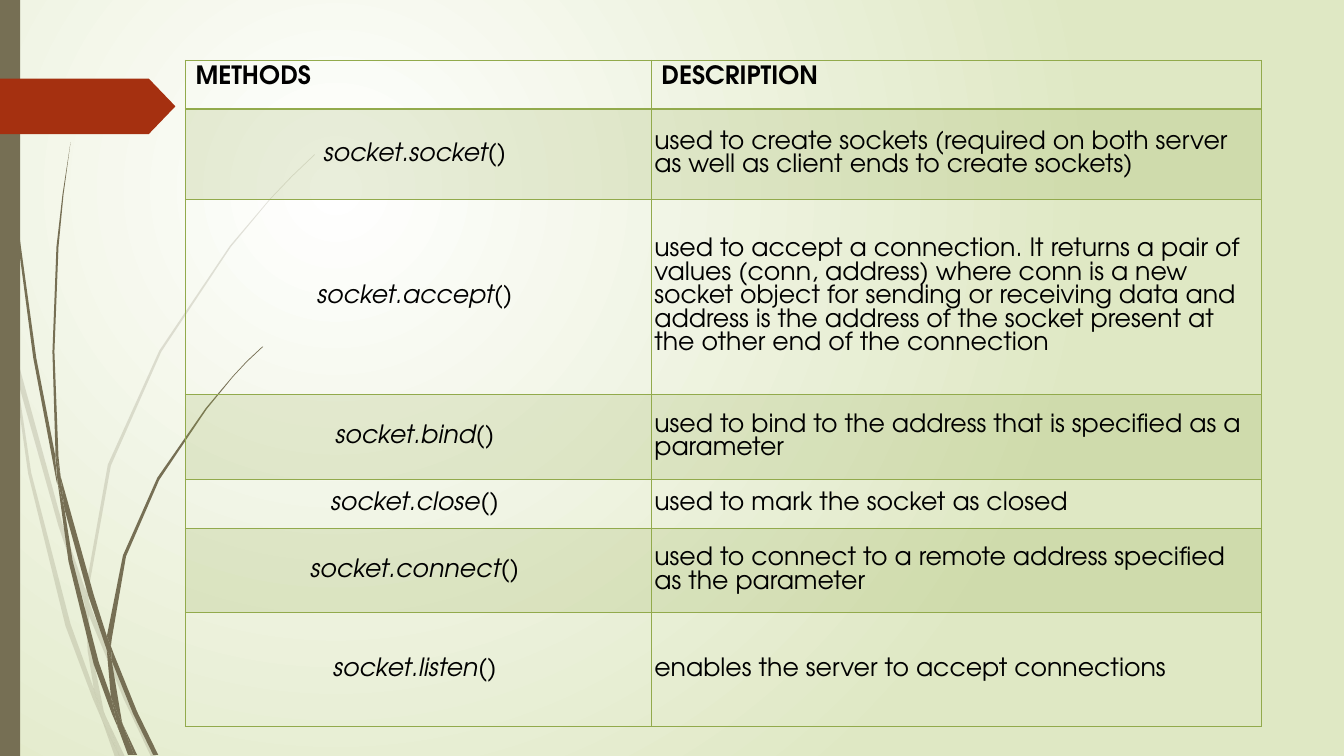
from dataclasses import dataclass

from lxml import etree
from pptx import Presentation
from pptx.dml.color import RGBColor
from pptx.enum.shapes import MSO_SHAPE
from pptx.enum.text import MSO_ANCHOR, PP_ALIGN
from pptx.oxml import parse_xml
from pptx.oxml.ns import nsdecls, qn
from pptx.util import Inches, Pt

RECT, PENTAGON = MSO_SHAPE.RECTANGLE, MSO_SHAPE.PENTAGON
CENTER, LEFT = PP_ALIGN.CENTER, PP_ALIGN.LEFT
MIDDLE, TOP = MSO_ANCHOR.MIDDLE, MSO_ANCHOR.TOP


@dataclass(frozen=True)
class Theme:
    font: str = "TeX Gyre Adventor"
    size: int = 18
    text: str = "000000"
    bg_inner: str = "FFFFFF"
    bg_outer: str = "DFE8C4"
    grass: str = "766F54"
    tab: str = "A53010"
    green: str = "92AA4C"
    tint: int = 20


T = Theme()

COLS = [4.62, 6.05]
ROW_HEIGHTS = [0.48, 0.9, 1.93, 0.85, 0.48, 0.84, 1.13]
ROWS = [
    ("METHODS", "DESCRIPTION"),
    ("socket.socket()", "used to create sockets (required on both server as well as "
     "client ends to create sockets)"),
    ("socket.accept()", "used to accept a connection. It returns a pair of values (conn, "
     "address) where conn is a new socket object for sending or receiving data and address "
     "is the address of the socket present at the other end of the connection"),
    ("socket.bind()", "used to bind to the address that is specified as a parameter"),
    ("socket.close()", "used to mark the socket as closed"),
    ("socket.connect()", "used to connect to a remote address specified as the parameter"),
    ("socket.listen()", "enables the server to accept connections"),
]

# Outlines of the grass: long blades, and the short pieces where they cross
PALE_GRASS = [
    [(.11, 3.5), (.09, 3.22), (0, 2.82), (0, 2.99), (.1, 3.44)],
    [(.58, 5.22), (.84, 5.99), (.85, 5.86), (.62, 5.2), (.14, 3.45), (.17, 3.76)],
    [(.92, 6.07), (.88, 5.96), (.88, 6.1), (1.23, 6.94), (1.5, 7.51), (1.55, 7.51),
     (1.27, 6.92)],
    [(1.19, 7.51), (1.24, 7.51), (1.05, 7.11)],
    [(.93, 6.83), (.7, 6.19), (.31, 4.69), (.17, 3.76), (.11, 3.5), (.28, 4.7), (.65, 6.21),
     (.92, 6.93), (1.01, 7.14), (.99, 7.07)],
    [(.84, 5.99), (.87, 6.46), (.93, 6.83), (.96, 6.92), (1.05, 7.11), (1.03, 7.06),
     (.91, 6.46), (.88, 6.1), (.88, 6.08)],
    [(.88, 5.84), (1.1, 4.62), (1.6, 3.49), (2.29, 2.45), (2.68, 1.98), (2.9, 1.75),
     (3.12, 1.54), (3.12, 1.53), (2.89, 1.75), (2.68, 1.97), (2.28, 2.44), (1.58, 3.48),
     (1.07, 4.61), (.85, 5.84), (.85, 5.86), (.88, 5.96)],
    [(1.01, 7.14), (1.14, 7.51), (1.19, 7.51)],
    [(.88, 6.08), (.88, 6.1), (.88, 5.96), (.85, 5.86), (.84, 5.99)],
    [(.96, 6.92), (.93, 6.83), (.99, 7.07), (1.01, 7.14), (1.19, 7.51), (1.05, 7.11)],
]
DARK_GRASS = [
    [(.07, 1.1), (.17, 2.33), (.33, 3.55), (.56, 4.77), (.57, 4.81), (.55, 4.57), (.55, 4.53),
     (.36, 3.55), (.19, 2.32), (.08, 1.09), (.05, .48), (.04, 0), (.03, 0), (.04, .48)],
    [(.88, 5.92), (1.06, 6.45), (1.06, 6.33), (1.06, 6.31), (.93, 5.9), (.6, 4.72),
     (.64, 5.05)],
    [(1.13, 6.49), (1.1, 6.41), (1.11, 6.56), (1.32, 7.08), (1.52, 7.49), (1.57, 7.49),
     (1.36, 7.06)],
    [(1.1, 6.91), (.98, 6.57), (.72, 5.56), (.64, 5.05), (.57, 4.77), (.68, 5.57),
     (.93, 6.59), (1.11, 7.08), (1.17, 7.22), (1.16, 7.17)],
    [(.6, 4.72), (.58, 4.53), (.54, 3.49), (.58, 2.45), (.63, 1.93), (.7, 1.41), (.62, 1.93),
     (.56, 2.45), (.52, 3.49), (.55, 4.49)],
    [(1.33, 7.49), (1.36, 7.49), (1.22, 7.19)],
    [(.57, 4.77), (.64, 5.05), (.6, 4.72), (.55, 4.49), (.55, 4.53)],
    [(1.11, 6.33), (1.25, 5.52), (1.58, 4.76), (2.05, 4.06), (2.31, 3.74), (2.45, 3.59),
     (2.61, 3.44), (2.6, 3.44), (2.45, 3.58), (2.31, 3.73), (2.04, 4.05), (1.56, 4.74),
     (1.22, 5.51), (1.06, 6.31), (1.1, 6.41)],
    [(1.17, 7.22), (1.27, 7.49), (1.31, 7.49)],
    [(1.06, 6.45), (1.1, 6.91), (1.16, 7.06), (1.22, 7.19), (1.21, 7.16), (1.11, 6.56),
     (1.09, 6.51)],
    [(1.06, 6.45), (1.09, 6.51), (1.11, 6.56), (1.1, 6.41), (1.06, 6.31), (1.06, 6.33)],
    [(1.16, 7.06), (1.1, 6.91), (1.16, 7.17), (1.17, 7.22), (1.3, 7.49), (1.33, 7.49),
     (1.22, 7.19)],
]


def paint(fill, color):
    fill.solid()
    fill.fore_color.rgb = RGBColor.from_string(color)


def set_alpha(props, percent):
    color = props.find(qn("a:solidFill")).find(qn("a:srgbClr"))
    etree.SubElement(color, qn("a:alpha"), val=str(percent * 1000))


def finish(shape, color):
    shape.shadow.inherit = False
    paint(shape.fill, color)
    shape.line.fill.background()


def set_background(s):
    stops = "".join(
        f'<a:gs pos="{pos}"><a:srgbClr val="{color}"/></a:gs>'
        for pos, color in ((0, T.bg_inner), (100000, T.bg_outer)))
    bg = parse_xml(
        f'<p:bg {nsdecls("p", "a")}><p:bgPr><a:gradFill rotWithShape="1">'
        f'<a:gsLst>{stops}</a:gsLst><a:path path="circle">'
        '<a:fillToRect l="50000" t="50000" r="100000" b="100000"/></a:path>'
        '</a:gradFill><a:effectLst/></p:bgPr></p:bg>')
    s.element.cSld.insert(0, bg)


def add_grass(s, x, y, outlines, alpha=None):
    for outline in outlines:
        points = [(Inches(x + px), Inches(y + py)) for px, py in outline]
        builder = s.shapes.build_freeform(*points[0])
        builder.add_line_segments(points[1:], close=True)
        blade = builder.convert_to_shape()
        finish(blade, T.grass)
        if alpha:
            set_alpha(blade.element.spPr, alpha)


def add_side(s, x, y, h):
    # Grass, then the bar and the arrow tab over it
    add_grass(s, x, y, PALE_GRASS, T.tint)
    add_grass(s, x, y, DARK_GRASS)
    bar = s.shapes.add_shape(RECT, Inches(x), Inches(y), Inches(0.2), Inches(h))
    finish(bar, T.grass)
    tab = s.shapes.add_shape(PENTAGON, Inches(x), Inches(y + 0.78), Inches(1.74), Inches(0.55))
    tab.adjustments[0] = 0.48
    finish(tab, T.tab)


def set_borders(cell, top, bottom):
    tcPr = cell._tc.get_or_add_tcPr()
    for side, width in (("L", 1), ("R", 1), ("T", top), ("B", bottom)):
        tcPr.append(parse_xml(
            f'<a:ln{side} {nsdecls("a")} w="{Pt(width)}"><a:solidFill>'
            f'<a:srgbClr val="{T.green}"/></a:solidFill></a:ln{side}>'))


def fill_cell(cell, text, row, col):
    header, banded = row == 0, row % 2 == 1
    method = col == 0 and not header
    set_borders(cell, 2 if row == 1 else 1, 2 if header else 1)
    if banded:
        paint(cell.fill, T.green)
        set_alpha(cell._tc.tcPr, T.tint)
    else:
        cell.fill.background()
    cell.vertical_anchor = TOP if header else MIDDLE
    if not header:
        cell.margin_left = Inches(0.03)
    p = cell.text_frame.paragraphs[0]
    p.text = text
    p.alignment = CENTER if method else LEFT
    p.font.name, p.font.size = T.font, Pt(T.size)
    p.font.bold, p.font.italic = header, method
    p.font.color.rgb = RGBColor.from_string(T.text)


def add_methods_table(s, x, y):
    frame = s.shapes.add_table(len(ROWS), len(COLS), Inches(x), Inches(y),
                               Inches(sum(COLS)), Inches(sum(ROW_HEIGHTS)))
    table = frame.table
    table.first_row = table.horz_banding = False
    for column, width in zip(table.columns, COLS):
        column.width = Inches(width)
    for i, (height, texts) in enumerate(zip(ROW_HEIGHTS, ROWS)):
        table.rows[i].height = Inches(height)
        for j, text in enumerate(texts):
            fill_cell(table.cell(i, j), text, i, j)


prs = Presentation()
prs.slide_width, prs.slide_height = Inches(13.33), Inches(7.5)
s = prs.slides.add_slide(prs.slide_layouts[6])
set_background(s)
add_side(s, 0, 0, 7.5)
add_methods_table(s, 1.84, 0.6)
prs.save("out.pptx")
